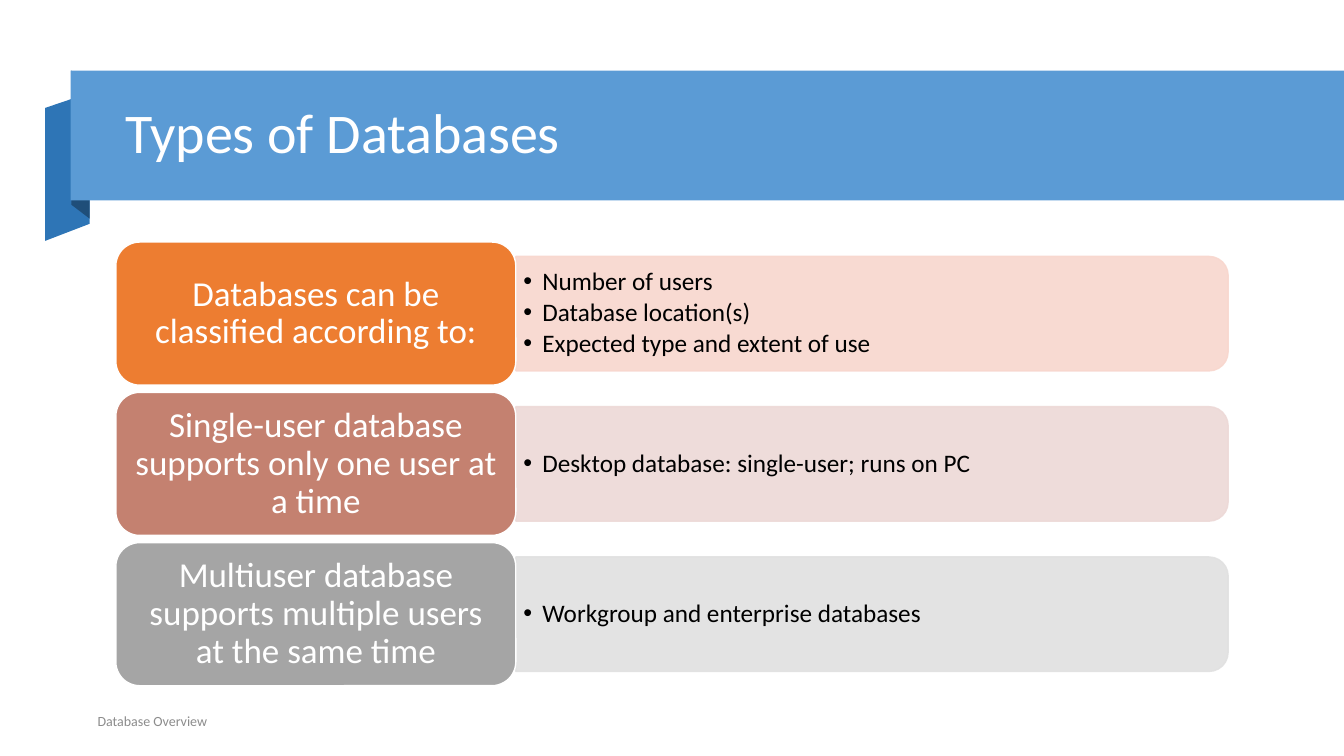
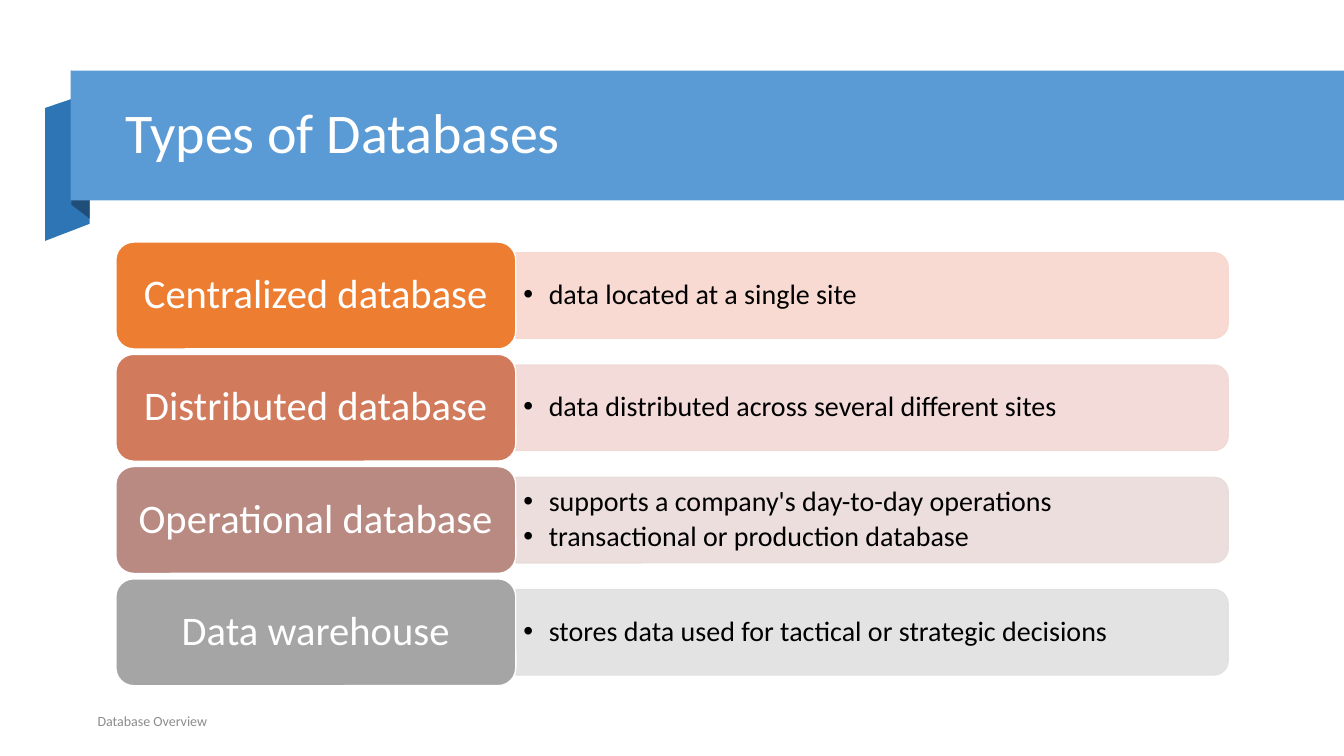
"""Build two slides that classify databases in rows of labels and bullets."""
import pptx
import pptx.dml.color
import pptx.enum.shapes
import pptx.enum.text
import pptx.oxml
import pptx.oxml.ns
import pptx.util
from lxml import etree

Cm = pptx.util.Cm
Pt = pptx.util.Pt
SHAPE = pptx.enum.shapes.MSO_SHAPE
ALIGN = pptx.enum.text.PP_ALIGN

COLORS = {
    "band": "5B9BD5", "ribbon": "2E75B6", "fold": "1F4E79",
    "white": "FFFFFF", "black": "000000", "footer": "8C8C8C",
    "orange": "ED7D31", "orange_tint": "F8D7CE",
    "copper": "D17B5C", "copper_tint": "F1D8D4",
    "clay": "C48170", "clay_tint": "EDD9D7",
    "rose": "B98A82", "rose_tint": "E9DBDA",
    "gray": "A5A5A5", "gray_tint": "E1E1E1",
}
RIBBON = [(2.26, 5.64), (1.14, 6.07), (1.14, 2.72), (2.26, 2.34)]
FOLD = [(2.26, 5.51), (1.8, 5.16), (1.8, 1.78), (2.26, 2.16)]
ROWS_TOP, ROWS_HEIGHT = 6.1, 11.18
LABEL_LEFT, LABEL_WIDTH, BAR_WIDTH = 2.92, 10.08, 17.95
GAP_RATIO, BAR_RATIO = 0.05, 0.8


class Deck:
    def __init__(self, font="Calibri"):
        self.font = font
        self.prs = pptx.Presentation()
        self.prs.slide_width, self.prs.slide_height = Cm(33.87), Cm(19.05)
        self.s = None

    def rgb(self, name):
        return pptx.dml.color.RGBColor.from_string(COLORS[name])

    def paint(self, sp, fill, line=None, alpha=None):
        sp.shadow.inherit = False
        sp.fill.solid()
        sp.fill.fore_color.rgb = self.rgb(fill)
        if line:
            sp.line.color.rgb = self.rgb(line)
            sp.line.width = Pt(1)
        else:
            sp.line.fill.background()
        if alpha:
            tag = pptx.oxml.ns.qn("a:alpha")
            for clr in sp._element.spPr.iter(pptx.oxml.ns.qn("a:srgbClr")):
                etree.SubElement(clr, tag, val=str(alpha * 1000))

    def shape(self, kind, left, top, width, height, fill, **style):
        sp = self.s.shapes.add_shape(kind, Cm(left), Cm(top), Cm(width), Cm(height))
        self.paint(sp, fill, **style)
        return sp

    def polygon(self, points, fill):
        start, *rest = [(Cm(x), Cm(y)) for x, y in points]
        builder = self.s.shapes.build_freeform(*start)
        builder.add_line_segments(rest, close=True)
        self.paint(builder.convert_to_shape(), fill)

    def set_text(self, sp, lines, size, color, align=ALIGN.LEFT,
                 margins=(0.25, 0.13), spacing=0.9, indent=None):
        tf = sp.text_frame
        tf.word_wrap = True
        tf.vertical_anchor = pptx.enum.text.MSO_ANCHOR.MIDDLE
        tf.margin_left = tf.margin_right = Cm(margins[0])
        tf.margin_top = tf.margin_bottom = Cm(margins[1])
        for i, line in enumerate(lines):
            p = tf.add_paragraph() if i else tf.paragraphs[0]
            p.alignment = align
            p.line_spacing = spacing
            if i:
                p.space_before = Pt(0.15 * size)
            if indent:
                self.bullet(p, indent)
            r = p.add_run()
            r.text = line
            r.font.name = self.font
            r.font.size = Pt(size)
            r.font.color.rgb = self.rgb(color)

    def bullet(self, p, indent):
        pPr = p._p.get_or_add_pPr()
        pPr.set("marL", str(Cm(indent)))
        pPr.set("indent", str(-Cm(indent)))
        etree.SubElement(pPr, pptx.oxml.ns.qn("a:buFont"), typeface="Arial")
        etree.SubElement(pPr, pptx.oxml.ns.qn("a:buChar"), char="•")

    def text(self, left, top, width, height, lines, size, color, **style):
        sp = self.s.shapes.add_textbox(Cm(left), Cm(top), Cm(width), Cm(height))
        self.set_text(sp, lines, size, color, **style)

    def slide(self, title, footer):
        self.s = self.prs.slides.add_slide(self.prs.slide_layouts[6])
        self.polygon(RIBBON, "ribbon")
        self.polygon(FOLD, "fold")
        self.shape(SHAPE.RECTANGLE, 1.78, 1.78, 32.09, 3.27, "band")
        self.text(2.92, 2.18, 28.63, 2.44, [title], 40, "white")
        self.text(2.21, 17.73, 18.77, 0.89, [footer], 10, "footer", spacing=1.0)

    def row(self, top, height, color, label, bullets, label_size, bullet_size, indent):
        bar_left, bar_height = LABEL_LEFT + LABEL_WIDTH, BAR_RATIO * height
        middle = top + height / 2
        tint = f"{color}_tint"
        bar = self.shape(SHAPE.ROUND_2_SAME_RECTANGLE,
                         bar_left + (BAR_WIDTH - bar_height) / 2, middle - BAR_WIDTH / 2,
                         bar_height, BAR_WIDTH, tint, line=tint, alpha=90)
        bar.rotation = 90
        self.text(bar_left, middle - bar_height / 2, BAR_WIDTH, bar_height, bullets,
                  bullet_size, "black", margins=(0.19, 0.1), indent=indent)
        sp = self.shape(SHAPE.ROUNDED_RECTANGLE, LABEL_LEFT, top, LABEL_WIDTH, height,
                        color, line="white")
        self.set_text(sp, [label], label_size, "white", align=ALIGN.CENTER)

    def rows(self, rows, **sizes):
        height = ROWS_HEIGHT / (len(rows) + GAP_RATIO * (len(rows) - 1))
        for i, (color, label, bullets) in enumerate(rows):
            top = ROWS_TOP + i * height * (1 + GAP_RATIO)
            self.row(top, height, color, label, bullets, **sizes)


def main():
    title, footer = "Types of Databases", "Database Overview"
    deck = Deck()

    deck.slide(title, footer)
    deck.rows([
        ("orange", "Databases can be classified according to:",
         ["Number of users", "Database location(s)", "Expected type and extent of use"]),
        ("clay", "Single-user database supports only one user at a time",
         ["Desktop database: single-user; runs on PC"]),
        ("gray", "Multiuser database supports multiple users at the same time",
         ["Workgroup and enterprise databases"]),
    ], label_size=25, bullet_size=18, indent=0.48)

    deck.slide(title, footer)
    deck.rows([
        ("orange", "Centralized database", ["data located at a single site"]),
        ("copper", "Distributed database",
         ["data distributed across several different sites"]),
        ("rose", "Operational database",
         ["supports a company's day-to-day operations",
          "transactional or production database"]),
        ("gray", "Data warehouse",
         ["stores data used for tactical or strategic decisions"]),
    ], label_size=29, bullet_size=20, indent=0.64)

    deck.prs.save("out.pptx")


if __name__ == "__main__":
    main()
